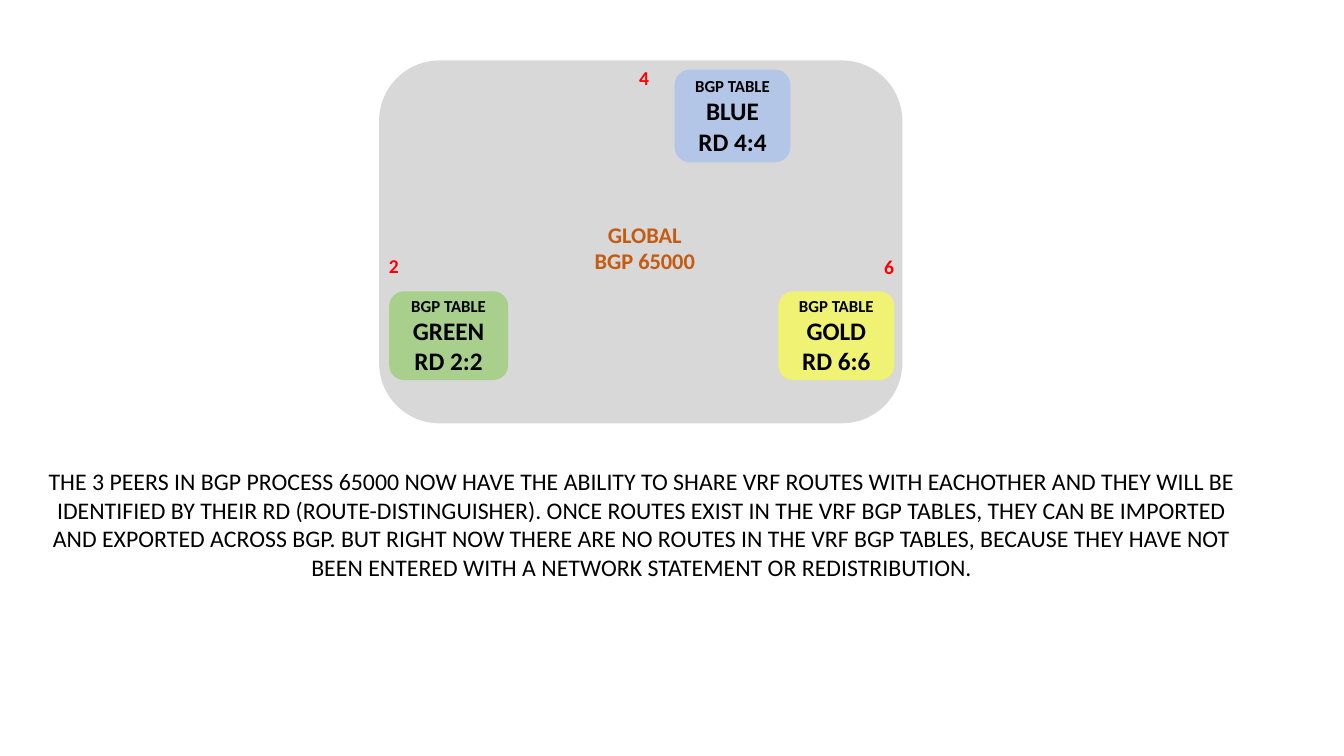
from pptx import Presentation
from pptx.dml.color import RGBColor
from pptx.enum.shapes import MSO_SHAPE as SHAPE
from pptx.enum.text import MSO_ANCHOR as ANCHOR, MSO_AUTO_SIZE as AUTO_SIZE, PP_ALIGN as ALIGN
from pptx.util import Emu, Pt

PX = 9144  # 100 px to the inch
COLORS = {
    "process": "D8D8D8", "blue": "B3C6E7", "gold": "EFF272", "green": "A8D08C",
    "peer": "FF0000", "global": "C55A11", "text": "000000",
}

prs = Presentation()
prs.slide_width, prs.slide_height = Emu(1333 * PX), Emu(750 * PX)
slide = prs.slides.add_slide(prs.slide_layouts[6])


def add_panel(box, color):
    panel = slide.shapes.add_shape(SHAPE.ROUNDED_RECTANGLE, *[Emu(n * PX) for n in box])
    panel.shadow.inherit = False
    panel.fill.solid()
    panel.fill.fore_color.rgb = RGBColor.from_string(COLORS[color])
    panel.line.fill.background()
    return panel


def write_lines(frame, lines, color, bold=True, align=ALIGN.CENTER):
    for i, (text, size) in enumerate(lines):
        paragraph = frame.add_paragraph() if i else frame.paragraphs[0]
        paragraph.alignment = align
        run = paragraph.add_run()
        run.text = text
        run.font.name = "Calibri"
        run.font.size = Pt(size)
        run.font.bold = bold
        run.font.color.rgb = RGBColor.from_string(COLORS[color])


# BGP process area
add_panel((376, 60, 519, 360), "process")

# VRF BGP tables
for vrf, rd, box in [
    ("blue", "4:4", (669, 69, 115, 92)),
    ("gold", "6:6", (772, 289, 115, 88)),
    ("green", "2:2", (386, 289, 118, 88)),
]:
    table_frame = add_panel(box, vrf).text_frame
    table_frame.word_wrap = True
    table_frame.vertical_anchor = ANCHOR.MIDDLE
    write_lines(table_frame, [("BGP TABLE", 12), (vrf.upper(), 18), (f"RD {rd}", 18)], "text")

# Peer numbers, process title and explanation
explanation = (
    "THE 3 PEERS IN BGP PROCESS 65000 NOW HAVE THE ABILITY TO SHARE VRF ROUTES WITH "
    "EACHOTHER AND THEY WILL BE IDENTIFIED BY THEIR RD (ROUTE-DISTINGUISHER). ONCE ROUTES "
    "EXIST IN THE VRF BGP TABLES, THEY CAN BE IMPORTED AND EXPORTED ACROSS BGP. BUT RIGHT "
    "NOW THERE ARE NO ROUTES IN THE VRF BGP TABLES, BECAUSE THEY HAVE NOT BEEN ENTERED "
    "WITH A NETWORK STATEMENT OR REDISTRIBUTION."
)
for box, lines, color, bold, align, wrap in [
    ((867, 248, 30, 34), [("6", 14)], "peer", True, ALIGN.LEFT, False),
    ((624, 60, 30, 34), [("4", 14)], "peer", True, ALIGN.LEFT, False),
    ((376, 247, 30, 34), [("2", 14)], "peer", True, ALIGN.LEFT, False),
    ((579, 214, 121, 64), [("GLOBAL", 16), ("BGP 65000", 16)], "global", True, ALIGN.CENTER, False),
    ((35, 458, 1203, 182), [(explanation, 17)], "text", False, ALIGN.CENTER, True),
]:
    label_frame = slide.shapes.add_textbox(*[Emu(n * PX) for n in box]).text_frame
    label_frame.word_wrap = wrap
    label_frame.auto_size = AUTO_SIZE.SHAPE_TO_FIT_TEXT
    write_lines(label_frame, lines, color, bold, align)

prs.save("out.pptx")
